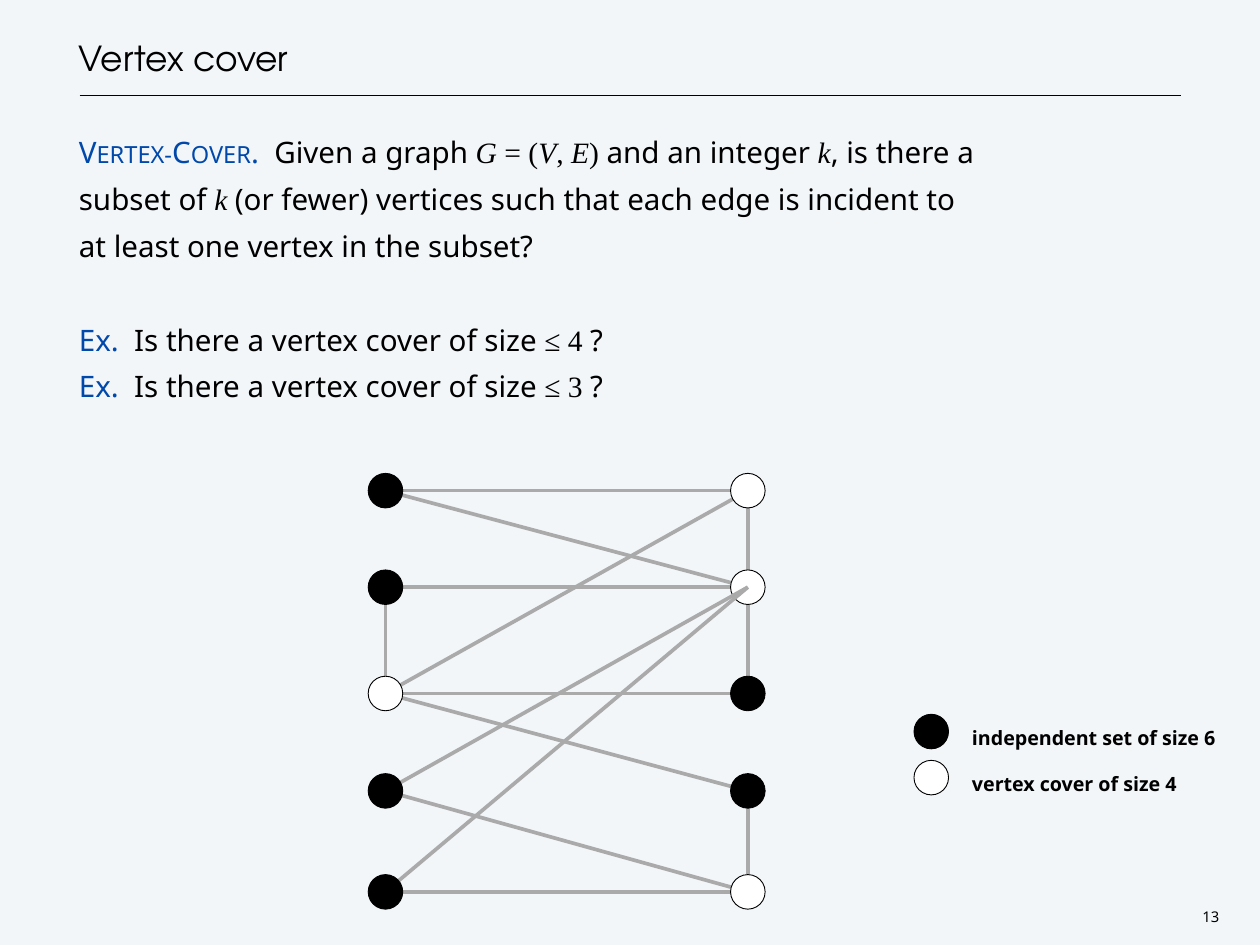
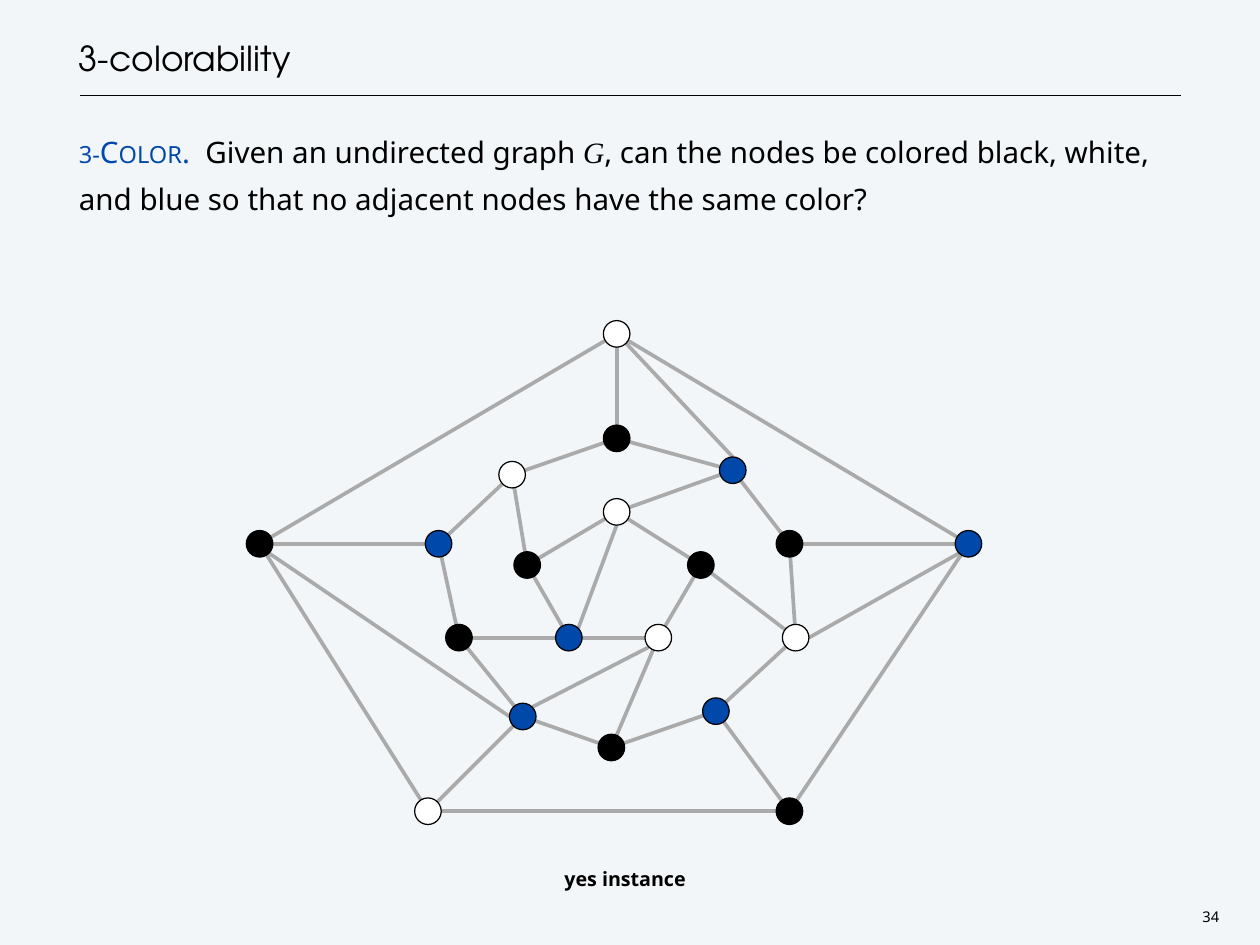
import lxml.etree
import pptx
import pptx.dml.color
import pptx.enum.shapes
import pptx.enum.text
import pptx.oxml.ns
import pptx.util

Inches = pptx.util.Inches
Pt = pptx.util.Pt
ALIGN = pptx.enum.text.PP_ALIGN
ANCHOR = pptx.enum.text.MSO_ANCHOR

COLORS = {"paper": "F2F6F9", "black": "000000", "white": "FFFFFF", "blue": "0048AA", "edge": "AAAAAA"}
SANS, SERIF, DISPLAY = "Noto Sans", "Times New Roman", "TeX Gyre Adventor"
STYLES = {
    "title": {"font": DISPLAY, "size": 28},
    "text": {"font": SANS, "size": 24},
    "term": {"font": SANS, "size": 24, "color": "blue", "small_caps": True},
    "lead": {"font": SANS, "size": 24, "color": "blue"},
    "math": {"font": SERIF, "size": 24, "italic": True},
    "symbol": {"font": SERIF, "size": 24},
    "caption": {"font": SANS, "size": 16, "bold": True},
    "number": {"font": SANS, "size": 12},
}
DIAGONAL = 0.71
SITES = {
    "north": (0, -1), "south": (0, 1), "east": (1, 0), "west": (-1, 0),
    "northeast": (DIAGONAL, -DIAGONAL), "southeast": (DIAGONAL, DIAGONAL),
    "southwest": (-DIAGONAL, DIAGONAL),
}


def color(name):
    """Return the named colour."""
    return pptx.dml.color.RGBColor.from_string(COLORS[name])


def add_span(para, text, style):
    """Add one run in a named style, with line breaks where the text has them."""
    look = STYLES[style]
    for index, line in enumerate(text.split("\n")):
        if index:
            para.add_line_break()
        span = para.add_run()
        span.text = line
        span.font.name = look["font"]
        span.font.size = Pt(look["size"])
        span.font.bold = look.get("bold", False)
        span.font.italic = look.get("italic", False)
        span.font.color.rgb = color(look.get("color", "black"))
        if look.get("small_caps"):
            span.font._element.set("cap", "small")


def fill_text(shape, box, paragraphs, spacing, align=ALIGN.LEFT, anchor=ANCHOR.TOP, inset=0, wrap=True, gaps=()):
    """Place a text shape and write its paragraphs span by span."""
    shape.left, shape.top, shape.width, shape.height = [Inches(value) for value in box]
    frame = shape.text_frame
    frame.word_wrap = wrap
    frame.auto_size = pptx.enum.text.MSO_AUTO_SIZE.NONE
    frame.vertical_anchor = anchor
    frame.margin_left = frame.margin_right = frame.margin_top = frame.margin_bottom = Inches(inset)
    for index, spans in enumerate(paragraphs):
        para = frame.add_paragraph() if index else frame.paragraphs[0]
        properties = para._p.get_or_add_pPr()
        properties.set("marL", "0")
        properties.set("indent", "0")
        lxml.etree.SubElement(properties, pptx.oxml.ns.qn("a:buNone"))
        para.alignment = align
        para.line_spacing = spacing
        para.space_before = Pt(38 if index in gaps else 0)
        para.space_after = Pt(0)
        for text, style in spans:
            add_span(para, text, style)


def add_text(page, box, text, style, spacing, **options):
    """Add a text box holding one span."""
    shape = page.shapes.add_textbox(0, 0, 0, 0)
    fill_text(shape, box, [[(text, style)]], spacing, **options)


def add_line(page, start, end, line_color, width):
    """Draw a straight line between two points."""
    line = page.shapes.add_connector(
        pptx.enum.shapes.MSO_CONNECTOR.STRAIGHT, *[Inches(value) for value in (*start, *end)])
    line.line.color.rgb = color(line_color)
    line.line.width = Pt(width)
    lxml.etree.SubElement(line._element.spPr, pptx.oxml.ns.qn("a:effectLst"))


def add_node(page, center, diameter, fill, outline):
    """Draw a graph node about its centre."""
    left, top = [Inches(value - diameter / 2) for value in center]
    node = page.shapes.add_shape(
        pptx.enum.shapes.MSO_SHAPE.OVAL, left, top, Inches(diameter), Inches(diameter))
    node.shadow.inherit = False
    node.fill.solid()
    node.fill.fore_color.rgb = color(fill)
    node.line.color.rgb = color("black")
    node.line.width = Pt(outline)


def add_edges(page, points, edges):
    """Join pairs of named points with grey edges."""
    for start, end in edges:
        add_line(page, points[start], points[end], "edge", 3)


def add_page(deck, title, number, paragraphs, gaps=()):
    """Add a slide with title, rule, body text and page number."""
    page = deck.slides.add_slide(deck.slide_layouts[1])
    heading, body = page.placeholders
    fill_text(heading, (0.89, 0, 12.44, 0.89), [[(title, "title")]], Pt(38), anchor=ANCHOR.BOTTOM)
    fill_text(body, (0.89, 1.39, 12.44, 8.94), paragraphs, Pt(38), gaps=gaps)
    add_line(page, (0.9, 1.08), (13.33, 1.08), "black", 1)
    add_text(page, (13.51, 10.22, 0.31, 0.24), number, "number", Pt(14),
             align=ALIGN.CENTER, inset=0.04, wrap=False)
    return page


def add_cover_graph(page, left, top):
    """Draw the two-column graph with its vertex cover in white."""
    columns = {"L": left, "R": left + 4.09}
    rows = [0, 1.09, 2.29, 3.39, 4.53]
    points = {f"{side}{row}": (x, top + y) for side, x in columns.items() for row, y in enumerate(rows)}
    cover = ["L2", "R0", "R1", "R4"]
    edges = "L0R0 L0R1 L1R1 L1L2 L2R0 L2R2 L2R3 L3R4 L4R4 R0R1 R1R2 R3R4"
    front_edges = "L3R1 L4R1"

    def pairs(names):
        """Split edge names into their two nodes."""
        return [(name[:2], name[2:]) for name in names.split()]

    add_edges(page, points, pairs(edges))
    for name in cover:
        add_node(page, points[name], 0.39, "white", 0.75)
    add_edges(page, points, pairs(front_edges))
    for name in points:
        if name not in cover:
            add_node(page, points[name], 0.39, "black", 0.75)


def add_legend(page, left, top):
    """Draw the key to the node colours."""
    entries = [("black", "independent set of size 6"), ("white", "vertex cover of size 4")]
    for row, (fill, label) in enumerate(entries):
        y = top + 0.52 * row
        add_node(page, (left + 0.2, y + 0.2), 0.39, fill, 0.75)
        add_text(page, (left + 0.66, y + 0.06, 3, 0.25), label, "caption", 1.3)


def add_colored_graph(page, left, top):
    """Draw three nested rings of coloured nodes, their spokes and chords."""
    diameter = 0.3
    rings = {
        "outer": [(4.03, 0, "white"), (8, 2.37, "blue"), (5.98, 5.39, "black"),
                  (1.9, 5.39, "white"), (0, 2.37, "black")],
        "middle": [(4.03, 1.18, "black"), (5.34, 1.54, "blue"), (5.98, 2.37, "black"),
                   (6.05, 3.43, "white"), (5.15, 4.26, "blue"), (3.97, 4.67, "black"),
                   (2.97, 4.32, "blue"), (2.25, 3.43, "black"), (2.02, 2.37, "blue"),
                   (2.85, 1.59, "white")],
        "inner": [(4.03, 2.01, "white"), (4.98, 2.61, "black"), (4.5, 3.43, "white"),
                  (3.49, 3.43, "blue"), (3.02, 2.61, "black")],
    }
    points, fills, edges = {}, {}, []
    for ring, nodes in rings.items():
        for index, (x, y, fill) in enumerate(nodes):
            points[ring, index] = (left + x, top + y)
            fills[ring, index] = fill
            edges.append(((ring, index), (ring, (index + 1) % len(nodes))))
    for index in range(5):
        edges.append((("outer", index), ("middle", 2 * index)))
        edges.append((("inner", index), ("middle", 2 * index + 1)))
    add_edges(page, points, edges)

    chords = [
        ("outer", 0, "southeast", "middle", 1, "north"),
        ("inner", 3, "northeast", "inner", 0, "south"),
        ("middle", 3, "east", "outer", 1, "southwest"),
        ("middle", 6, "west", "outer", 4, "southeast"),
        ("inner", 2, "southwest", "middle", 6, "northeast"),
    ]

    def rim(ring, index, site):
        """Return a point on the rim of a node."""
        return [value + shift * diameter / 2 for value, shift in zip(points[ring, index], SITES[site])]

    for chord in chords:
        add_line(page, rim(*chord[:3]), rim(*chord[3:]), "edge", 3)
    for name, point in points.items():
        add_node(page, point, diameter, fills[name], 1)


def add_vertex_cover_page(deck):
    """Build the vertex cover slide."""
    definition = [
        ("Vertex-Cover", "term"), (".  ", "lead"), ("Given a graph ", "text"),
        ("G", "math"), (" = (", "symbol"), ("V", "math"), (", ", "symbol"), ("E", "math"), (")", "symbol"),
        (" and an integer ", "text"), ("k", "math"), (", is there a\nsubset of ", "text"), ("k ", "math"),
        ("(or fewer) vertices such that each edge is incident to\nat least one vertex in the subset?", "text"),
    ]
    examples = [
        [("Ex.  ", "lead"), ("Is there a vertex cover of size ", "text"), (f"≤ {size} ", "symbol"), ("?", "text")]
        for size in (4, 3)
    ]
    page = add_page(deck, "Vertex cover", "13", [definition, *examples], gaps=(1,))
    add_cover_graph(page, 4.35, 5.54)
    add_legend(page, 10.31, 8.06)


def add_colorability_page(deck):
    """Build the 3-colorability slide."""
    definition = [
        ("3-Color", "term"), (".  ", "lead"), ("Given an undirected graph ", "text"), ("G", "math"),
        (", can the nodes be colored black, white, and blue so that no adjacent nodes have the same color?", "text"),
    ]
    page = add_page(deck, "3-colorability", "34", [definition])
    add_colored_graph(page, 2.93, 3.77)
    add_text(page, (5.98, 9.71, 2.15, 0.25), "yes instance", "caption", 1.3, align=ALIGN.CENTER)


def main():
    """Build and save the deck."""
    deck = pptx.Presentation()
    deck.slide_width, deck.slide_height = Inches(14.22), Inches(10.67)
    background = deck.slide_master.background.fill
    background.solid()
    background.fore_color.rgb = color("paper")
    add_vertex_cover_page(deck)
    add_colorability_page(deck)
    deck.save("out.pptx")


if __name__ == "__main__":
    main()
